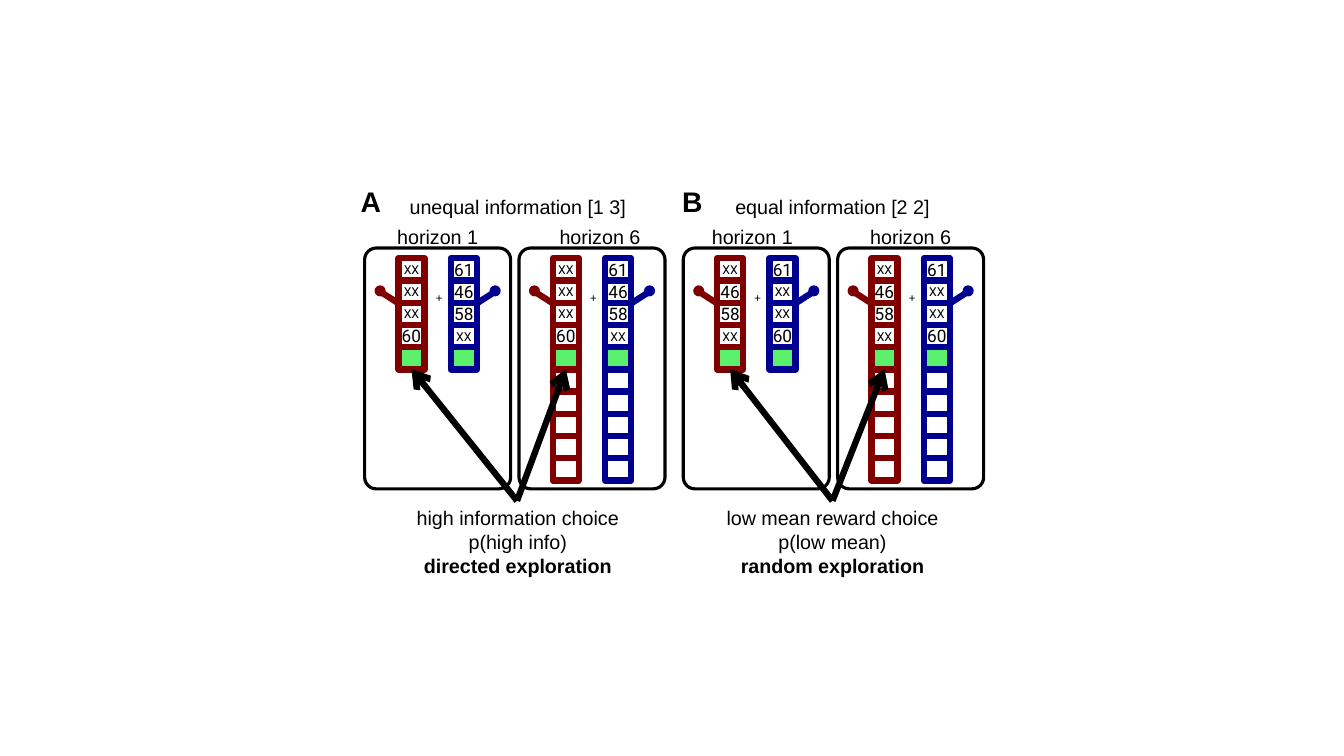
from lxml.etree import SubElement
from pptx import Presentation
from pptx.dml.color import RGBColor
from pptx.enum.shapes import MSO_CONNECTOR, MSO_SHAPE
from pptx.enum.text import MSO_ANCHOR, PP_ALIGN
from pptx.oxml.ns import qn
from pptx.util import Cm, Pt

BLACK, RED, BLUE, GREEN = "000000", "800000", "000090", "5BF06C"
PANEL_TOP, PANEL_WIDTH, PANEL_HEIGHT = 6.25, 3.68, 6.07
CELL_WIDTH, CELL_HEIGHT = 0.66, 0.56
LABEL_SIZE = 14.1
ARROW_START, ARROW_END = 12.62, 9.3


def color(value):
    return RGBColor.from_string(value)


def write(frame, lines, size, font, align=PP_ALIGN.CENTER, bold_line=None, wrap=True):
    frame.word_wrap = wrap
    frame.vertical_anchor = MSO_ANCHOR.MIDDLE
    for index, line in enumerate(lines):
        para = frame.paragraphs[0] if index == 0 else frame.add_paragraph()
        para.alignment = align
        span = para.add_run()
        span.text = line
        span.font.size = Pt(size)
        span.font.name = font
        span.font.color.rgb = color(BLACK)
        span.font.bold = index == bold_line


def add_text(shapes, place, lines, size=LABEL_SIZE, font="Arial", **style):
    box = shapes.add_textbox(*map(Cm, place))
    write(box.text_frame, lines, size, font, **style)


def add_figure(shapes, kind, place, fill=None, line=None, width=4.5):
    figure = shapes.add_shape(kind, *map(Cm, place))
    figure.shadow.inherit = False
    if fill:
        figure.fill.solid()
        figure.fill.fore_color.rgb = color(fill)
    else:
        figure.fill.background()
    if line:
        figure.line.color.rgb = color(line)
        figure.line.width = Pt(width)
    else:
        figure.line.fill.background()
    return figure


def add_line(shapes, start, end, line, arrow=False):
    stroke = shapes.add_connector(MSO_CONNECTOR.STRAIGHT, *map(Cm, start + end))
    stroke.line.color.rgb = color(line)
    stroke.line.width = Pt(4.5)
    if arrow:
        SubElement(stroke.line._get_or_add_ln(), qn("a:tailEnd"), type="arrow")
    SubElement(stroke._element.spPr, qn("a:effectLst"))


def add_lever(shapes, left, start, end, knob, line):
    add_line(shapes, (left + start, PANEL_TOP + 1.38), (left + end, PANEL_TOP + 1.11), line)
    add_figure(shapes, MSO_SHAPE.OVAL, (left + knob, PANEL_TOP + 0.94, 0.28, 0.28), fill=line)


def add_bandit(shapes, left, rewards, count, line):
    for row in range(count):
        place = (left, PANEL_TOP + 0.26 + row * CELL_HEIGHT, CELL_WIDTH, CELL_HEIGHT)
        fill = GREEN if row == len(rewards) else None
        cell = add_figure(shapes, MSO_SHAPE.RECTANGLE, place, fill, line)
        if row < len(rewards):
            size = 8.8 if rewards[row] == "XX" else 12.3
            write(cell.text_frame, [rewards[row]], size, "Roboto", wrap=False)


def add_panel(page, left, count, red_rewards, blue_rewards):
    shapes = page.shapes.add_group_shape().shapes
    add_text(shapes, (left + 1.62, PANEL_TOP + 0.94, 0.43, 0.64), ["+"], 8.8, "Calibri", wrap=False)
    frame = add_figure(shapes, MSO_SHAPE.ROUNDED_RECTANGLE,
                       (left, PANEL_TOP, PANEL_WIDTH, PANEL_HEIGHT), line=BLACK, width=2.25)
    frame.adjustments[0] = 0.08
    add_lever(shapes, left, 0.83, 0.41, 0.25, RED)
    add_lever(shapes, left, 2.85, 3.27, 3.15, BLUE)
    add_bandit(shapes, left + 0.85, red_rewards, count, RED)
    add_bandit(shapes, left + 2.17, blue_rewards, count, BLUE)


def add_condition(page, letter, letter_left, title, text_left, label_lefts,
                  panel_left, red_rewards, blue_rewards, summary, arrow_left):
    panel_lefts = (panel_left, panel_left + 3.89)
    for left, count in zip(panel_lefts, (5, 10)):
        add_panel(page, left, count, red_rewards, blue_rewards)
    add_text(page.shapes, (text_left, 4.78, 7.72, 0.86), [title])
    for left, horizon in zip(label_lefts, ("horizon 1", "horizon 6")):
        add_text(page.shapes, (left, 5.53, PANEL_WIDTH, 0.86), [horizon])
    add_text(page.shapes, (text_left, 12.62, 7.72, 2.06), summary, bold_line=2)
    add_text(page.shapes, (letter_left, 4.52, 1.55, 1.12), [letter], 20.2,
             align=PP_ALIGN.LEFT, bold_line=0)
    for left in panel_lefts:
        add_line(page.shapes, (arrow_left, ARROW_START), (left + 1.18, ARROW_END), BLACK, True)


def main():
    deck = Presentation()
    deck.slide_width, deck.slide_height = Cm(33.87), Cm(19.05)
    page = deck.slides.add_slide(deck.slide_layouts[6])
    add_condition(page, "A", 8.84, "unequal information [1 3]", 9.19, (9.19, 13.28), 9.19,
                  ("XX", "XX", "XX", "60"), ("61", "46", "58", "XX"),
                  ("high information choice", "p(high info)", "directed exploration"), 13.03)
    add_condition(page, "B", 16.94, "equal information [2 2]", 17.12, (17.12, 21.11), 17.22,
                  ("XX", "46", "58", "XX"), ("61", "XX", "XX", "60"),
                  ("low mean reward choice", "p(low mean)", "random exploration"), 20.98)
    deck.save("out.pptx")


main()
